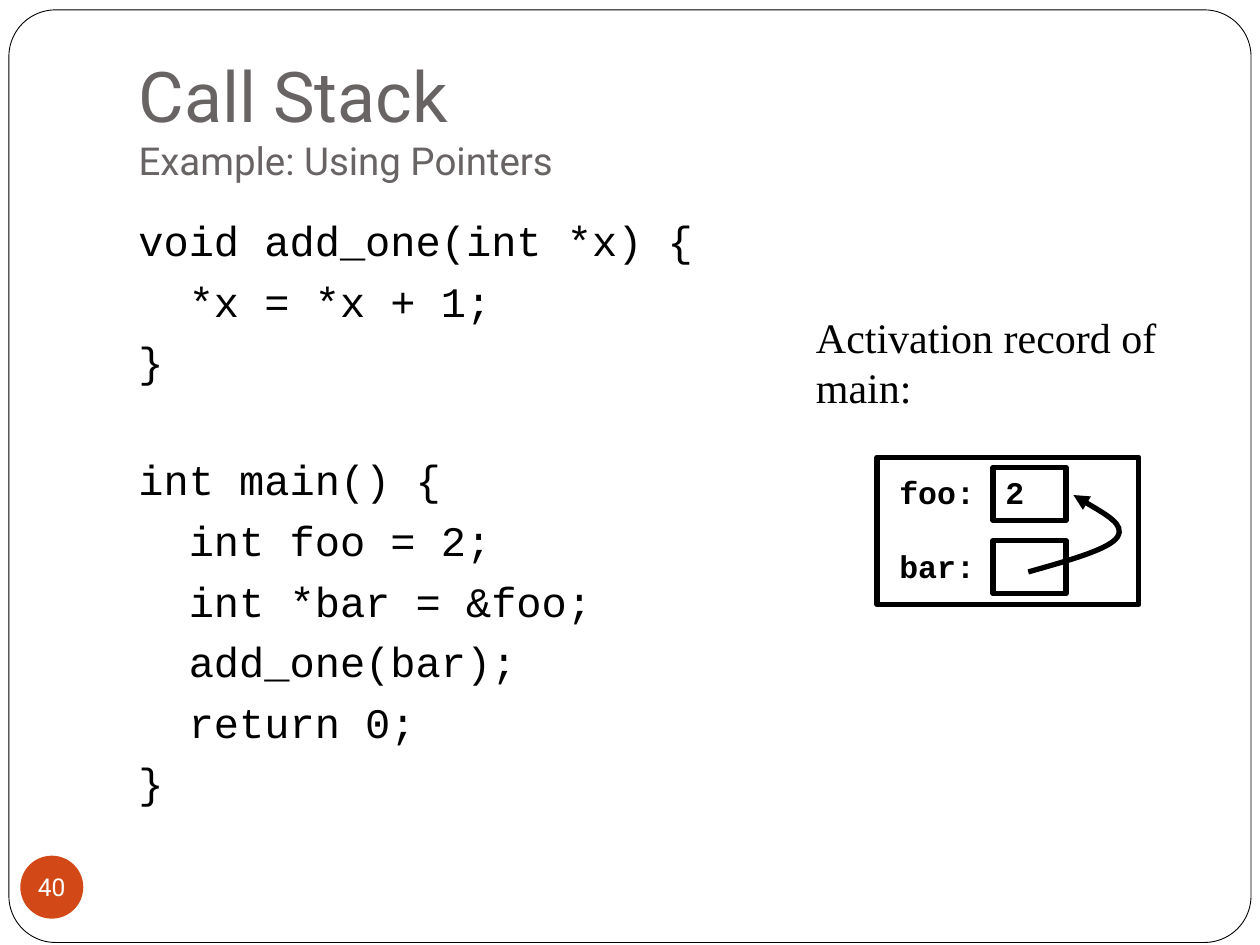
from dataclasses import dataclass

from lxml import etree
from pptx import Presentation
from pptx import util as u
from pptx.dml.color import RGBColor
from pptx.enum import shapes, text
from pptx.oxml.ns import qn


@dataclass(frozen=True)
class Theme:
    """Colours, fonts and type sizes of the slide."""
    ink: str = "000000"
    paper: str = "FFFFFF"
    title: str = "696464"
    accent: str = "D34817"
    sans: str = "Roboto"
    serif: str = "Times New Roman"
    mono: str = "Courier New"
    title_size: float = 40
    subtitle_size: float = 22
    body_size: float = 24
    label_size: float = 18
    number_size: float = 14
    frame_line: float = 0.5
    diagram_line: float = 3


THEME = Theme()
LINE_GAP = 5.8
BLOCK_GAP = 38.8

ADD_ONE = ["void add_one(int *x) {", "  *x = *x + 1;", "}"]
MAIN = ["int main() {", "  int foo = 2;", "  int *bar = &foo;",
        "  add_one(bar);", "  return 0;", "}"]

CELL_LEFT, CELL_TOP, CELL_STEP = 20.02, 9.42, 1.48
VARIABLES = [("foo:", "2"), ("bar:", "")]
POINTER_CURVE = [(20.73, 11.53), (21.54, 11.3), (22.38, 11.07), (22.53, 10.82),
                 (22.68, 10.57), (22.15, 10.29), (21.64, 9.98)]


def add_span(para, words, *, font, size, color=THEME.ink, bold=False):
    """Append formatted text to a paragraph."""
    span = para.add_run()
    span.text = words
    span.font.name = font
    span.font.size = u.Pt(size)
    span.font.bold = bold
    span.font.color.rgb = RGBColor.from_string(color)


def add_text(page, words, left, top, width, height, *, wrap=True, **style):
    """Add a text box with one formatted paragraph."""
    box = page.shapes.add_textbox(u.Cm(left), u.Cm(top), u.Cm(width), u.Cm(height))
    box.text_frame.word_wrap = wrap
    add_span(box.text_frame.paragraphs[0], words, **style)
    return box


def add_preset(page, kind, left, top, width, height, *, fill=None, line=None):
    """Add a preset shape with an optional fill and black outline."""
    shape = page.shapes.add_shape(kind, u.Cm(left), u.Cm(top), u.Cm(width), u.Cm(height))
    shape.shadow.inherit = False
    if fill:
        shape.fill.solid()
        shape.fill.fore_color.rgb = RGBColor.from_string(fill)
    else:
        shape.fill.background()
    if line:
        shape.line.width = u.Pt(line)
        shape.line.color.rgb = RGBColor.from_string(THEME.ink)
    else:
        shape.line.fill.background()
    return shape


def add_frame(page):
    """Add the rounded page frame behind everything else."""
    frame = add_preset(page, shapes.MSO_SHAPE.ROUNDED_RECTANGLE, 0.18, 0.2, 25.04, 18.8,
                       fill=THEME.paper, line=THEME.frame_line)
    frame.adjustments[0] = 0.05
    page.shapes._spTree.insert(2, frame._element)


def set_title(page, heading, subheading):
    """Place the title and fill it with a heading and a smaller second line."""
    title = page.shapes.title
    title.left, title.top = u.Cm(2.54), u.Cm(0.76)
    title.width, title.height = u.Cm(21.59), u.Cm(3.18)
    frame = title.text_frame
    frame.auto_size = text.MSO_AUTO_SIZE.NONE
    frame.vertical_anchor = text.MSO_ANCHOR.BOTTOM
    frame.margin_bottom = u.Cm(0.25)
    para = frame.paragraphs[0]
    para.alignment = text.PP_ALIGN.LEFT
    add_span(para, heading, font=THEME.sans, size=THEME.title_size, color=THEME.title)
    para.add_line_break()
    add_span(para, subheading, font=THEME.sans, size=THEME.subtitle_size, color=THEME.title)


def add_code(page, blocks, left, top, width, height):
    """Add a listing whose blocks are set apart by paragraph spacing."""
    style = dict(font=THEME.mono, size=THEME.body_size)
    box = add_text(page, blocks[0][0], left, top, width, height, **style)
    for block_index, block in enumerate(blocks):
        for line_index, line in enumerate(block):
            if block_index == line_index == 0:
                continue
            para = box.text_frame.add_paragraph()
            para.space_before = u.Pt(LINE_GAP if line_index else BLOCK_GAP)
            add_span(para, line, **style)


def add_curved_arrow(page, points):
    """Add an open cubic curve that ends in an arrowhead."""
    start, *rest = [(u.Cm(x), u.Cm(y)) for x, y in points]
    builder = page.shapes.build_freeform(*start, scale=1.0)
    builder.add_line_segments(rest, close=False)
    arrow = builder.convert_to_shape()
    arrow.shadow.inherit = False
    arrow.fill.background()
    arrow.line.width = u.Pt(THEME.diagram_line)
    arrow.line.color.rgb = RGBColor.from_string(THEME.ink)
    outline = next(arrow._element.iter(qn("a:path")))
    segments = outline.findall(qn("a:lnTo"))
    for first in range(0, len(segments), 3):
        curve = etree.SubElement(outline, qn("a:cubicBezTo"))
        for segment in segments[first:first + 3]:
            curve.append(segment[0])
            outline.remove(segment)
    etree.SubElement(arrow.line._get_or_add_ln(), qn("a:tailEnd"), type="triangle")


def add_activation_record(page):
    """Draw the record of main with its variables and the pointer."""
    rectangle = shapes.MSO_SHAPE.RECTANGLE
    label = dict(wrap=False, font=THEME.mono, size=THEME.label_size, bold=True)
    add_preset(page, rectangle, 17.68, 9.22, 5.28, 2.97, line=THEME.diagram_line)
    for row, (name, value) in enumerate(VARIABLES):
        top = CELL_TOP + row * CELL_STEP
        add_preset(page, rectangle, CELL_LEFT, top, 1.47, 1.07, line=THEME.diagram_line)
        add_text(page, name, 17.88, top, 2.06, 1.02, **label)
        if value:
            add_text(page, value, CELL_LEFT, top, 0.89, 1.02, **label)
    add_curved_arrow(page, POINTER_CURVE)


def add_page_number(page, number):
    """Add the page number in a filled circle."""
    badge = add_preset(page, shapes.MSO_SHAPE.OVAL, 0.41, 17.25, 1.27, 1.27, fill=THEME.accent)
    frame = badge.text_frame
    frame.margin_left = frame.margin_right = frame.margin_top = frame.margin_bottom = 0
    frame.word_wrap = False
    frame.vertical_anchor = text.MSO_ANCHOR.MIDDLE
    para = frame.paragraphs[0]
    para.alignment = text.PP_ALIGN.CENTER
    add_span(para, number, font=THEME.sans, size=THEME.number_size, color=THEME.paper)


def main():
    """Build the slide and save it."""
    deck = Presentation()
    deck.slide_width, deck.slide_height = u.Cm(25.4), u.Cm(19.05)
    page = deck.slides.add_slide(deck.slide_layouts[5])
    add_frame(page)
    set_title(page, "Call Stack", "Example: Using Pointers")
    add_code(page, [ADD_ONE, MAIN], 2.54, 4.2, 21.59, 13.8)
    add_activation_record(page)
    add_page_number(page, "40")
    add_text(page, "Activation record of main:", 16.2, 6.15, 8.89, 2.31,
             font=THEME.serif, size=THEME.body_size)
    deck.save("out.pptx")


if __name__ == "__main__":
    main()
